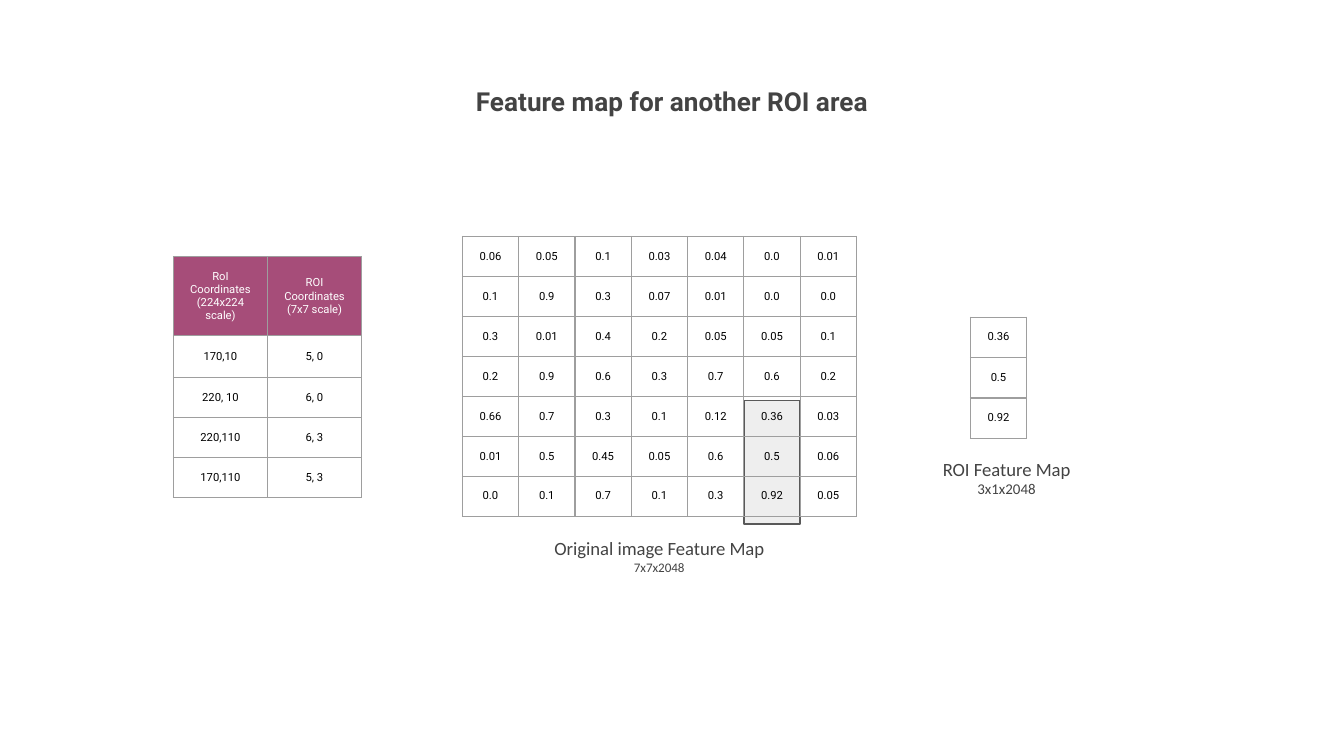
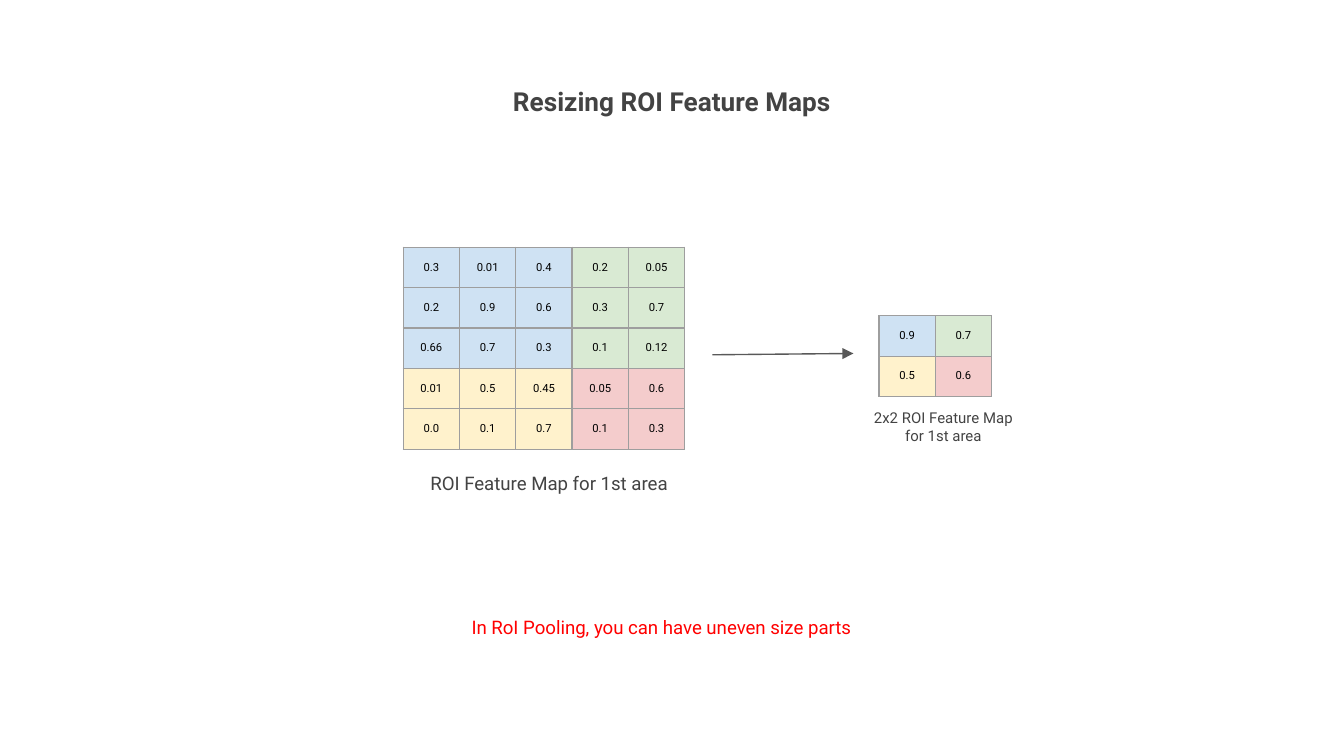
from dataclasses import dataclass
from typing import Callable, Optional

from lxml.etree import SubElement
from pptx import Presentation
from pptx.dml.color import RGBColor
from pptx.enum.shapes import MSO_CONNECTOR as Connector, MSO_SHAPE as Preset
from pptx.enum.text import MSO_ANCHOR as Anchor, PP_ALIGN as Align
from pptx.oxml.ns import qn
from pptx.slide import Slide
from pptx.text.text import TextFrame
from pptx.util import Inches, Pt

COLORS = {
    "ink": "434343",
    "value": "000000",
    "white": "FFFFFF",
    "border": "9E9E9E",
    "outline": "595959",
    "header": "A64D79",
    "roi": "EEEEEE",
    "note": "FF0000",
    "top_left": "CFE2F3",
    "top_right": "D9EAD3",
    "bottom_left": "FFF2CC",
    "bottom_right": "F4CCCC",
}
UNIT = Inches(0.1)
SLIDE_COLS, SLIDE_ROWS = 100, 56.25
CELL_W, CELL_H = 4.19, 2.9
LINE_WIDTH = Pt(0.75)
INSET = units_inset = UNIT

FEATURE_MAP = [
    ["0.06", "0.05", "0.1", "0.03", "0.04", "0.0", "0.01"],
    ["0.1", "0.9", "0.3", "0.07", "0.01", "0.0", "0.0"],
    ["0.3", "0.01", "0.4", "0.2", "0.05", "0.05", "0.1"],
    ["0.2", "0.9", "0.6", "0.3", "0.7", "0.6", "0.2"],
    ["0.66", "0.7", "0.3", "0.1", "0.12", "0.36", "0.03"],
    ["0.01", "0.5", "0.45", "0.05", "0.6", "0.5", "0.06"],
    ["0.0", "0.1", "0.7", "0.1", "0.3", "0.92", "0.05"],
]
COORDINATES = [
    ["RoI Coordinates\n(224x224 scale)", "ROI Coordinates (7x7 scale)"],
    ["170,10", "5, 0"],
    ["220, 10", "6, 0"],
    ["220,110", "6, 3"],
    ["170,110", "5, 3"],
]
CellFill = Callable[[int, int], Optional[str]]


@dataclass(frozen=True)
class Label:
    """A centred text box placed in grid columns and rows."""
    text: str
    col: float
    row: float
    cols: float
    rows: float
    sizes: tuple[float, ...] = (10,)
    font: str = "Roboto"
    color: str = "ink"
    bold: bool = False
    spacing: Optional[float] = None


@dataclass(frozen=True)
class Grid:
    """A bordered table of values placed in grid columns and rows."""
    values: list[list[str]]
    col: float
    row: float
    fill: CellFill = lambda row, col: None
    cell_width: float = CELL_W
    row_heights: Optional[list[float]] = None
    anchor: Anchor = Anchor.TOP


def units(count: float) -> int:
    """Turn grid columns or rows into a length."""
    return round(count * UNIT)


def rgb(name: str) -> RGBColor:
    """Look up a palette colour."""
    return RGBColor.from_string(COLORS[name])


def style_text(frame: TextFrame, sizes: tuple[float, ...], font: str, color: str,
               bold: bool = False, spacing: Optional[float] = None) -> None:
    """Centre the paragraphs and format their runs, the last size carrying on."""
    for index, paragraph in enumerate(frame.paragraphs):
        paragraph.alignment = Align.CENTER
        if spacing:
            paragraph.line_spacing = spacing
        for run in paragraph.runs:
            run.font.size = Pt(sizes[min(index, len(sizes) - 1)])
            run.font.name = font
            run.font.bold = bold
            run.font.color.rgb = rgb(color)


def draw_label(slide: Slide, label: Label) -> None:
    """Draw a text box."""
    frame = slide.shapes.add_textbox(units(label.col), units(label.row),
                                     units(label.cols), units(label.rows)).text_frame
    frame.word_wrap = True
    frame.vertical_anchor = Anchor.MIDDLE
    frame.margin_left = frame.margin_right = INSET
    frame.margin_top = frame.margin_bottom = INSET
    frame.text = label.text
    style_text(frame, label.sizes, label.font, label.color, label.bold, label.spacing)


def draw_title(slide: Slide, text: str) -> None:
    """Draw the slide heading."""
    draw_label(slide, Label(text, 28.3, 4.4, 43.4, 5.9, (14,), bold=True, spacing=1.15))


def add_borders(cell) -> None:
    """Line all four sides of a table cell."""
    properties = cell._tc.get_or_add_tcPr()
    for side in ("a:lnL", "a:lnR", "a:lnT", "a:lnB"):
        line = SubElement(properties, qn(side), w=str(LINE_WIDTH))
        solid = SubElement(line, qn("a:solidFill"))
        SubElement(solid, qn("a:srgbClr"), val=COLORS["border"])


def draw_grid(slide: Slide, grid: Grid) -> None:
    """Draw a table of values."""
    row_count, col_count = len(grid.values), len(grid.values[0])
    heights = grid.row_heights or [CELL_H] * row_count
    table = slide.shapes.add_table(row_count, col_count, units(grid.col), units(grid.row),
                                   units(grid.cell_width * col_count),
                                   units(sum(heights))).table
    table.first_row = table.horz_banding = False
    for column in table.columns:
        column.width = units(grid.cell_width)
    for row, (height, values) in enumerate(zip(heights, grid.values)):
        table.rows[row].height = units(height)
        for col, value in enumerate(values):
            cell = table.cell(row, col)
            cell.margin_left = cell.margin_right = INSET
            cell.margin_top = cell.margin_bottom = INSET
            cell.vertical_anchor = grid.anchor
            add_borders(cell)
            fill = grid.fill(row, col)
            if fill:
                cell.fill.solid()
                cell.fill.fore_color.rgb = rgb(fill)
            else:
                cell.fill.background()
            cell.text_frame.text = value
            style_text(cell.text_frame, (6,), "Roboto",
                       "white" if fill == "header" else "value")


def header_fill(row: int, col: int) -> Optional[str]:
    """Fill only the first row."""
    return "header" if row == 0 else None


def quadrant_fill(split: int) -> CellFill:
    """Colour four parts that meet after the given row and column."""
    def fill(row: int, col: int) -> str:
        """Name the part that a cell belongs to."""
        return f"{'top' if row < split else 'bottom'}_{'left' if col < split else 'right'}"
    return fill


def draw_roi_area(slide: Slide, col: float, row: float, cols: float, rows: float) -> None:
    """Draw the shaded region of interest."""
    area = slide.shapes.add_shape(Preset.RECTANGLE, units(col), units(row),
                                  units(cols), units(rows))
    area.shadow.inherit = False
    area.fill.solid()
    area.fill.fore_color.rgb = rgb("roi")
    area.line.color.rgb = rgb("outline")
    area.line.width = LINE_WIDTH


def draw_arrow(slide: Slide, start: tuple[float, float], end: tuple[float, float]) -> None:
    """Draw a line with an arrowhead at its end."""
    arrow = slide.shapes.add_connector(Connector.STRAIGHT, *map(units, start + end))
    arrow.line.color.rgb = rgb("outline")
    arrow.line.width = LINE_WIDTH
    SubElement(arrow.line._get_or_add_ln(), qn("a:tailEnd"), type="triangle",
               w="med", len="med")
    SubElement(arrow._element.spPr, qn("a:effectLst"))


def build_another_area(slide: Slide) -> None:
    """Show the feature map of a second region."""
    map_col, roi_col = 34.4, 5
    draw_roi_area(slide, map_col + roi_col * CELL_W, 29.8, CELL_W, 9.2)
    draw_grid(slide, Grid(FEATURE_MAP, map_col, 17.6))
    draw_grid(slide, Grid(COORDINATES, 12.9, 19.1, header_fill, 7,
                          [3.9, 3.1] + [CELL_H] * 3, Anchor.MIDDLE))
    draw_title(slide, "Feature map for another ROI area")
    draw_label(slide, Label("Original image Feature Map\n7x7x2048", map_col, 39.4,
                            29.3, 3.9, (10, 7), "Calibri"))
    roi_values = [[values[roi_col]] for values in FEATURE_MAP[4:]]
    draw_grid(slide, Grid(roi_values, 72.2, 23.6))
    draw_label(slide, Label("ROI Feature Map\n3x1x2048", 66.9, 33.6,
                            16, 3.9, (10, 8), "Calibri"))


def build_resizing(slide: Slide) -> None:
    """Show how the first region is pooled to two by two."""
    draw_title(slide, "Resizing ROI Feature Maps")
    first_area = [values[:5] for values in FEATURE_MAP[2:]]
    draw_grid(slide, Grid(first_area, 30, 18.4, quadrant_fill(3)))
    draw_label(slide, Label("ROI Feature Map for 1st area", 26.2, 34, 29.3, 3.9))
    draw_label(slide, Label("In RoI Pooling, you can have uneven size parts",
                            27.5, 42.7, 43.4, 7.6, color="note", spacing=1.15))
    draw_grid(slide, Grid([["0.9", "0.7"], ["0.5", "0.6"]], 65.4, 23.5, quadrant_fill(1)))
    draw_arrow(slide, (53, 26.4), (63.5, 26.3))
    draw_label(slide, Label("2x2 ROI Feature Map for 1st area", 63.5, 29.8,
                            13.4, 3.9, (8,)))


def main() -> None:
    """Build and save both slides."""
    deck = Presentation()
    deck.slide_width, deck.slide_height = units(SLIDE_COLS), units(SLIDE_ROWS)
    for build in (build_another_area, build_resizing):
        build(deck.slides.add_slide(deck.slide_layouts[6]))
    deck.save("out.pptx")


if __name__ == "__main__":
    main()
